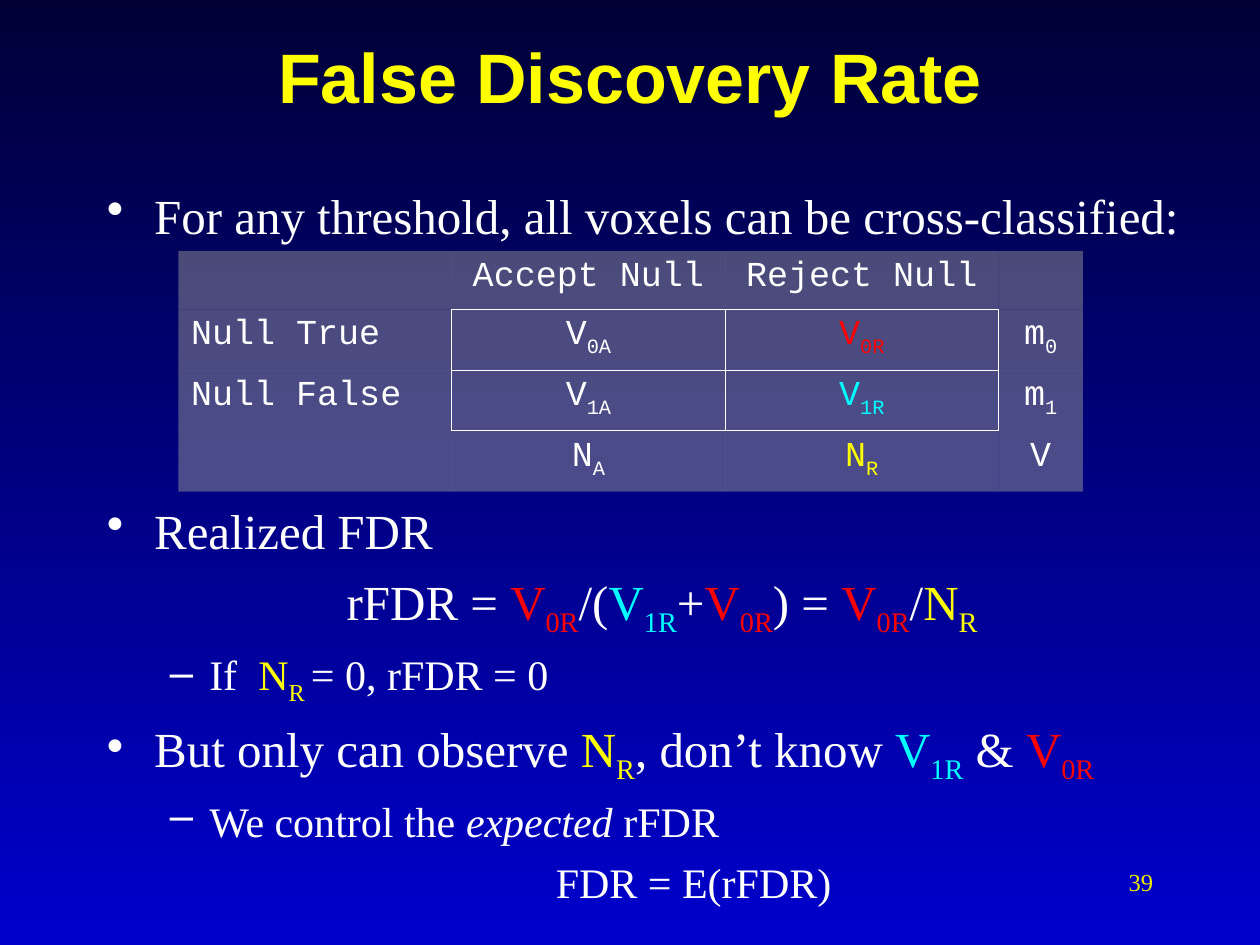
from dataclasses import dataclass

import lxml.etree
import pptx
import pptx.dml.color
import pptx.enum.text
import pptx.oxml
import pptx.oxml.ns
import pptx.util

Pt = pptx.util.Pt
Align = pptx.enum.text.PP_ALIGN
qn = pptx.oxml.ns.qn

WHITE = "FFFFFF"
YELLOW = "FFFF00"
RED = "FF0000"
CYAN = "00FFFF"
SERIF = "Times New Roman"
MONO = "Courier New"
NO_TABLE_STYLE = "{2D5ABB26-0587-4C30-8999-92F81FD0307C}"


@dataclass(frozen=True)
class Piece:
    text: str
    color: str = WHITE
    subscript: bool = False
    italic: bool = False


@dataclass(frozen=True)
class Level:
    size: float
    margin: float
    indent: float
    space: float
    bullet: str


@dataclass(frozen=True)
class Line:
    pieces: list[Piece]
    level: Level
    centered: bool = False


def rgb(color: str) -> pptx.dml.color.RGBColor:
    return pptx.dml.color.RGBColor.from_string(color)


def symbol(letter: str, index: str, color: str = WHITE) -> list[Piece]:
    return [Piece(letter, color), Piece(index, color, subscript=True)]


def add_pieces(paragraph, pieces: list[Piece], font: str, size: float, bold: bool = False) -> None:
    for piece in pieces:
        run = paragraph.add_run()
        run.text = piece.text
        run.font.name = font
        run.font.size = Pt(size)
        run.font.bold = bold
        run.font.italic = piece.italic
        run.font.color.rgb = rgb(piece.color)
        if piece.subscript:
            run.font._element.set("baseline", "-25000")


def add_text_box(slide, left: float, top: float, width: float, height: float):
    shape = slide.shapes.add_textbox(Pt(left), Pt(top), Pt(width), Pt(height))
    shape.text_frame.word_wrap = True
    return shape.text_frame


def add_bullet(paragraph, character: str) -> None:
    properties = paragraph._p.get_or_add_pPr()
    color = lxml.etree.SubElement(properties, qn("a:buClr"))
    lxml.etree.SubElement(color, qn("a:srgbClr"), val=WHITE)
    lxml.etree.SubElement(properties, qn("a:buChar"), char=character)


def add_lines(slide, top: float, height: float, lines: list[Line]) -> None:
    text_frame = add_text_box(slide, 54, top, 648.7, height)
    for number, line in enumerate(lines):
        paragraph = text_frame.add_paragraph() if number else text_frame.paragraphs[0]
        level = line.level
        properties = paragraph._p.get_or_add_pPr()
        properties.set("marL", str(Pt(level.margin)))
        properties.set("indent", str(Pt(level.indent)))
        if number:
            paragraph.space_before = Pt(level.space)
        if line.centered:
            paragraph.alignment = Align.CENTER
        else:
            add_bullet(paragraph, level.bullet)
        add_pieces(paragraph, line.pieces, SERIF, level.size)


def is_boxed(row: int, column: int) -> bool:
    return row in (1, 2) and column in (1, 2)


def style_cell(cell, row: int, column: int) -> None:
    properties = cell._tc.get_or_add_tcPr()
    neighbours = {
        "a:lnL": (row, column - 1),
        "a:lnR": (row, column + 1),
        "a:lnT": (row - 1, column),
        "a:lnB": (row + 1, column),
    }
    for tag, neighbour in neighbours.items():
        if is_boxed(row, column) or is_boxed(*neighbour):
            border = lxml.etree.SubElement(properties, qn(tag), w=str(Pt(0.45)))
            fill = lxml.etree.SubElement(border, qn("a:solidFill"))
            lxml.etree.SubElement(fill, qn("a:srgbClr"), val=WHITE)
    cell.fill.solid()
    cell.fill.fore_color.rgb = rgb("969696")
    color = properties.find(qn("a:solidFill")).find(qn("a:srgbClr"))
    lxml.etree.SubElement(color, qn("a:alpha"), val="50000")


def add_classification_table(slide, rows: list[list[list[Piece]]]) -> None:
    widths = [156.2, 156.2, 156.2, 48.2]
    heights = [33.4, 34.7, 34.7, 34.7]
    shape = slide.shapes.add_table(
        len(heights), len(widths), Pt(102), Pt(143.4), Pt(sum(widths)), Pt(sum(heights))
    )
    table = shape.table
    table.first_row = False
    table.horz_banding = False
    table._tbl.tblPr.find(qn("a:tableStyleId")).text = NO_TABLE_STYLE
    for column, width in enumerate(widths):
        table.columns[column].width = Pt(width)
    for row, height in enumerate(heights):
        table.rows[row].height = Pt(height)
        for column, pieces in enumerate(rows[row]):
            cell = table.cell(row, column)
            style_cell(cell, row, column)
            paragraph = cell.text_frame.paragraphs[0]
            paragraph.alignment = Align.CENTER if column else Align.LEFT
            add_pieces(paragraph, pieces, MONO, 20)


def main() -> None:
    presentation = pptx.Presentation()
    presentation.slide_width = Pt(720)
    presentation.slide_height = Pt(540)
    slide = presentation.slides.add_slide(presentation.slide_layouts[6])

    background = slide.background.fill
    background.gradient()
    background.gradient_angle = 270
    for stop, color in zip(background.gradient_stops, ("000036", "0000CC")):
        stop.color.rgb = rgb(color)

    page_number = add_text_box(slide, 516, 492, 150, 36).paragraphs[0]
    page_number.alignment = Align.RIGHT
    add_pieces(page_number, [Piece("39", "F0EA00")], SERIF, 14)

    title = add_text_box(slide, 54, 15.6, 612, 90).paragraphs[0]
    title.alignment = Align.CENTER
    add_pieces(title, [Piece("False Discovery Rate", YELLOW)], "Arial", 40, bold=True)

    false_positives = symbol("V", "0R", RED)
    true_positives = symbol("V", "1R", CYAN)
    rejections = symbol("N", "R", YELLOW)
    main_level = Level(28, 27, -27, 7, "•")
    sub_level = Level(24, 58.5, -22.5, 6, "–")

    add_lines(slide, 102.3, 40, [
        Line([Piece("For any threshold, all voxels can be cross-classified:")], main_level),
    ])
    add_lines(slide, 282.3, 240, [
        Line([Piece("Realized FDR")], main_level),
        Line(
            [Piece("rFDR = "), *false_positives, Piece("/("), *true_positives, Piece("+"),
             *false_positives, Piece(") = "), *false_positives, Piece("/"), *rejections],
            main_level, centered=True,
        ),
        Line([Piece("If  "), *symbol("N", "R ", YELLOW), Piece("= 0, rFDR = 0")], sub_level),
        Line(
            [Piece("But only can observe "), *rejections, Piece(", don’t know "),
             *true_positives, Piece(" & "), *false_positives],
            main_level,
        ),
        Line(
            [Piece("We control the "), Piece("expected", italic=True), Piece(" rFDR")],
            sub_level,
        ),
        Line([Piece("FDR = E(rFDR)")], sub_level, centered=True),
    ])
    add_classification_table(slide, [
        [[], [Piece("Accept Null")], [Piece("Reject Null")], []],
        [[Piece("Null True")], symbol("V", "0A"), false_positives, symbol("m", "0")],
        [[Piece("Null False")], symbol("V", "1A"), true_positives, symbol("m", "1")],
        [[], symbol("N", "A"), rejections, [Piece("V")]],
    ])
    presentation.save("out.pptx")


if __name__ == "__main__":
    main()
